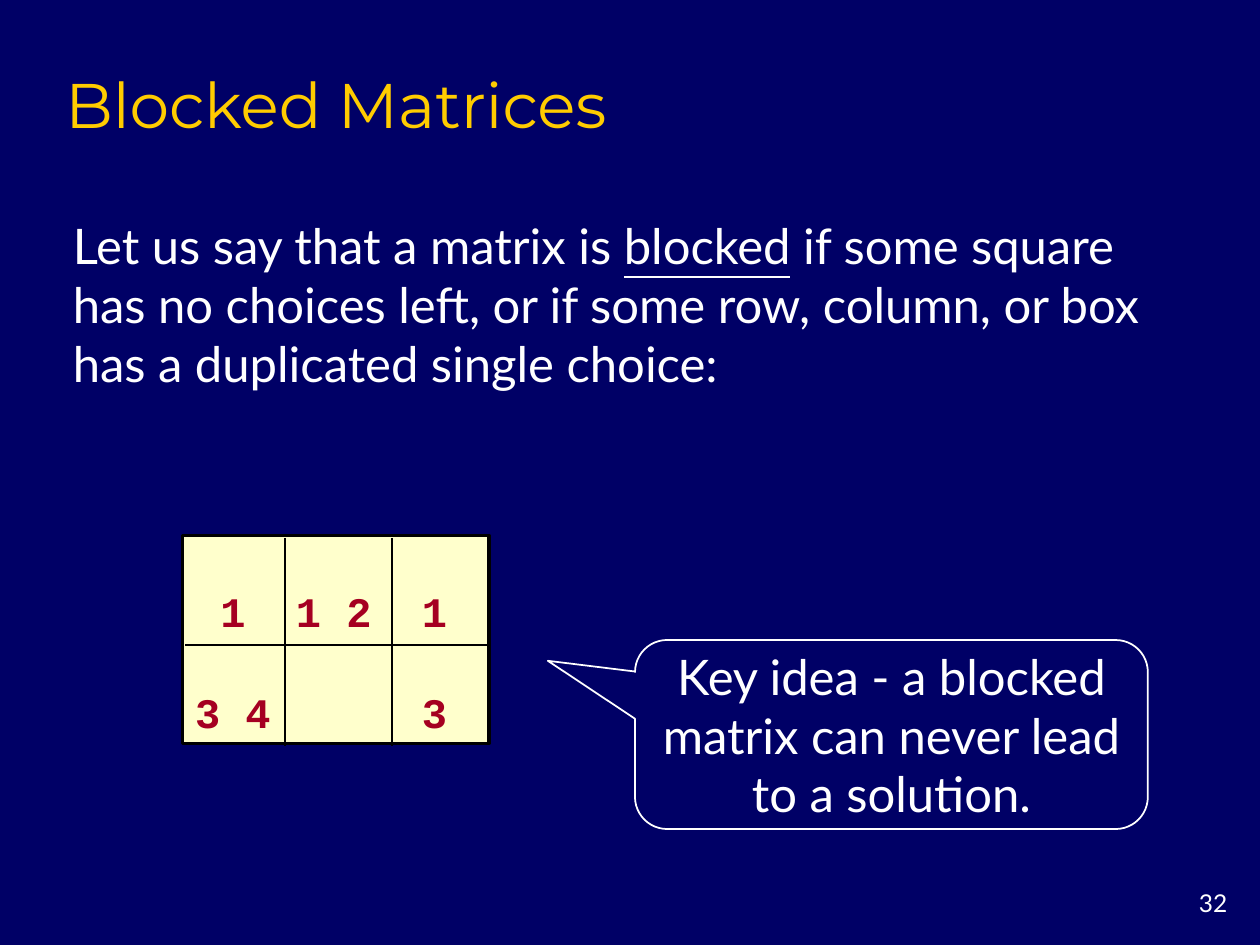
from pptx import Presentation
from pptx.dml.color import RGBColor
from pptx.enum.shapes import MSO_CONNECTOR, MSO_SHAPE
from pptx.enum.text import MSO_ANCHOR, PP_ALIGN
from pptx.oxml.ns import qn
from pptx.util import Inches, Pt

NAVY = RGBColor(0x00, 0x00, 0x66)
GOLD = RGBColor(0xFF, 0xCC, 0x00)
WHITE = RGBColor(0xFF, 0xFF, 0xFF)
CREAM = RGBColor(0xFF, 0xFF, 0xCC)
CRIMSON = RGBColor(0xA5, 0x00, 0x21)
BLACK = RGBColor(0x00, 0x00, 0x00)

BODY_FONT = "Lato"
TITLE_FONT = "Montserrat"
CODE_FONT = "Courier New"

LEFT, CENTER, RIGHT = PP_ALIGN.LEFT, PP_ALIGN.CENTER, PP_ALIGN.RIGHT
TOP, MIDDLE, BOTTOM = MSO_ANCHOR.TOP, MSO_ANCHOR.MIDDLE, MSO_ANCHOR.BOTTOM
RECTANGLE = MSO_SHAPE.RECTANGLE
CALLOUT = MSO_SHAPE.ROUNDED_RECTANGULAR_CALLOUT
STRAIGHT = MSO_CONNECTOR.STRAIGHT


class SlideBuilder:
    def __init__(self, slide):
        self.slide = slide
        slide.background.fill.solid()
        slide.background.fill.fore_color.rgb = NAVY

    def fill_text(self, shape, paragraphs, size, font=BODY_FONT, color=WHITE,
                  align=LEFT, anchor=TOP, bold=False, spacing=None, tabs=()):
        """Fill a shape with paragraphs, each a list of (text, underlined) runs."""
        frame = shape.text_frame
        frame.word_wrap = True
        frame.vertical_anchor = anchor
        for index, runs in enumerate(paragraphs):
            paragraph = frame.add_paragraph() if index else frame.paragraphs[0]
            if tabs:
                self.add_tabs(paragraph, tabs)
            paragraph.alignment = align
            paragraph.line_spacing = spacing
            for text, underlined in runs:
                run = paragraph.add_run()
                run.text = text
                run.font.name = font
                run.font.size = Pt(size)
                run.font.color.rgb = color
                run.font.bold = bold
                run.font.underline = underlined

    def add_tabs(self, paragraph, tabs):
        properties = paragraph._p.get_or_add_pPr()
        tab_list = properties.makeelement(qn("a:tabLst"), {})
        properties.append(tab_list)
        for position in tabs:
            attributes = {"pos": str(Inches(position)), "algn": "l"}
            tab_list.append(tab_list.makeelement(qn("a:tab"), attributes))

    def add_text(self, left, top, width, height, paragraphs, size, **style):
        box = self.slide.shapes.add_textbox(
            Inches(left), Inches(top), Inches(width), Inches(height))
        self.fill_text(box, paragraphs, size, **style)

    def add_shape(self, kind, left, top, width, height, line, weight, fill=None):
        shape = self.slide.shapes.add_shape(
            kind, Inches(left), Inches(top), Inches(width), Inches(height))
        shape.shadow.inherit = False
        if fill is None:
            shape.fill.background()
        else:
            shape.fill.solid()
            shape.fill.fore_color.rgb = fill
        shape.line.color.rgb = line
        shape.line.width = Pt(weight)
        return shape

    def add_line(self, x1, y1, x2, y2):
        line = self.slide.shapes.add_connector(
            STRAIGHT, Inches(x1), Inches(y1), Inches(x2), Inches(y2))
        line.line.color.rgb = BLACK
        line.line.width = Pt(1)
        properties = line._element.spPr
        properties.append(properties.makeelement(qn("a:effectLst"), {}))

    def add_callout(self, left, top, width, height, text, adjustments):
        callout = self.add_shape(CALLOUT, left, top, width, height, WHITE, 1)
        for index, value in enumerate(adjustments):
            callout.adjustments[index] = value
        self.fill_text(callout, [[(text, False)]], 28, align=CENTER, anchor=MIDDLE)

    def add_matrix(self, left, top, width, height, rows, tabs, row_line, column_lines):
        matrix = self.add_shape(RECTANGLE, left, top, width, height, BLACK, 2, CREAM)
        matrix.text_frame.margin_top = 0
        self.fill_text(matrix, [[(row, False)] for row in rows], 24, font=CODE_FONT,
                       color=CRIMSON, bold=True, spacing=2.0, tabs=tabs)
        self.add_line(left + 0.02, row_line, left + width, row_line)
        for x in column_lines:
            self.add_line(x, top + 0.02, x, top + height + 0.02)


def main():
    presentation = Presentation()
    presentation.slide_width = Inches(10)
    presentation.slide_height = Inches(7.5)
    builder = SlideBuilder(presentation.slides.add_slide(presentation.slide_layouts[6]))

    builder.add_text(0.42, 0.42, 8.5, 0.75, [[("Blocked Matrices", False)]], 36,
                     font=TITLE_FONT, color=GOLD, anchor=BOTTOM)
    definition = [
        ("Let us say that a matrix is ", False),
        ("blocked", True),
        (" if some square has no choices left, or if some row, column, or box "
         "has a duplicated single choice:", False),
    ]
    builder.add_text(0.48, 1.66, 8.77, 1.5, [definition], 28, anchor=MIDDLE)
    builder.add_callout(5.04, 5.08, 4.07, 1.5,
                        "Key idea - a blocked matrix can never lead to a solution.",
                        (-0.67, -0.39, 0.17))
    builder.add_matrix(1.45, 4.25, 2.43, 1.65, ["\t1\t1 2\t1", "3 4\t\t3"],
                       tabs=(0.2, 0.8, 1.8), row_line=5.12, column_lines=(2.26, 3.11))
    builder.add_text(9.17, 7, 0.67, 0.33, [[("32", False)]], 14, align=RIGHT)

    presentation.save("out.pptx")


if __name__ == "__main__":
    main()
